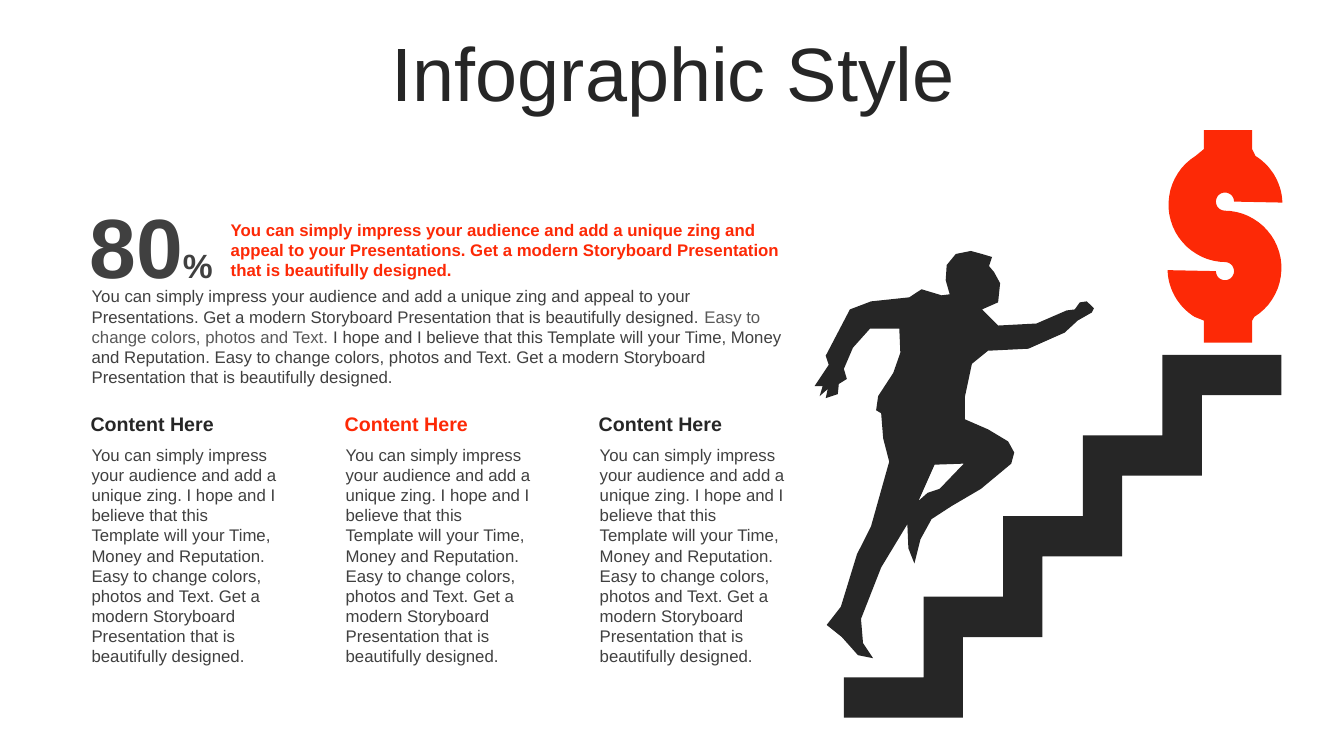
import math

import pptx
import pptx.dml.color
import pptx.enum.text
import pptx.util

ANCHOR = pptx.enum.text.MSO_ANCHOR
ALIGN = pptx.enum.text.PP_ALIGN
DARK, GREY, LIGHT, RED = "262626", "404040", "595959", "FD2906"

deck = pptx.Presentation()
deck.slide_width = pptx.util.Inches(13.33)
deck.slide_height = pptx.util.Inches(7.5)
page = deck.slides.add_slide(deck.slide_layouts[6])


def colour(code):
    return pptx.dml.color.RGBColor.from_string(code)


def write(text, *, at, size=12, ink=GREY, bold=False, align=ALIGN.LEFT,
          anchor=ANCHOR.TOP, spacing=None):
    """Add a text box; text is a string or a list of (string, size, ink) spans."""
    box = page.shapes.add_textbox(*[pptx.util.Inches(length) for length in at])
    frame = box.text_frame
    frame.word_wrap = True
    frame.vertical_anchor = anchor
    para = frame.paragraphs[0]
    para.alignment = align
    para.line_spacing = spacing
    spans = [(text, size, ink)] if isinstance(text, str) else text
    for words, points, code in spans:
        span = para.add_run()
        span.text = words
        span.font.name = "Arial"
        span.font.size = pptx.util.Pt(points)
        span.font.bold = bold
        span.font.color.rgb = colour(code)


# Drawings use hundredths of an inch.
STEPS, TREAD, RISER, THICKNESS = 5, 79, 80, 40
stairs_left, stairs_right, stairs_bottom = 837, 955, 712
tops = [stairs_bottom - THICKNESS - RISER * step for step in range(STEPS)]
upper_edge, lower_edge = [], []
for step, top in enumerate(tops):
    left = stairs_left + TREAD * step
    right = stairs_right + TREAD * step
    upper_edge += [(left, min(top + RISER, stairs_bottom)), (left, top)]
    lower_edge += [(right, top + THICKNESS), (right, max(top - THICKNESS, tops[-1]))]
stairs = upper_edge + lower_edge[::-1]

# Right half of the dollar: upper bowl, notch, lower bowl; the left half is it turned round.
half = []
for centre_x, centre_y, radius, start, end in [
        (1215, 203, 57, -58, -2), (1215, 200, 9, 0, -270), (1214, 266, 57, -90, 58)]:
    for tick in range(25):
        angle = math.radians(start + (end - start) * tick / 24)
        half.append((centre_x + radius * math.cos(angle),
                     centre_y + radius * math.sin(angle)))
turned = [(2430 - x, 469 - y) for x, y in half]
stem_left, stem_right, stem_top, stem_bottom = 1194, 1242, 129, 340
dollar = [(stem_left, 148), (stem_left, stem_top), (stem_right, stem_top),
          (stem_right, 148), *half, (stem_right, 318), (stem_right, stem_bottom),
          (stem_left, stem_bottom), (stem_left, 318), *turned]

leading_arm = [(1085, 306), (1078, 299), (1071, 300), (1066, 307), (1058, 308),
               (1028, 321), (990, 323), (974, 307)]
head = [(990, 300), (992, 281), (986, 270), (981, 264), (984, 255), (974, 252),
        (963, 249), (948, 252), (939, 263), (938, 278), (942, 292)]
trailing_arm = [(934, 293), (914, 287), (902, 295), (864, 299), (843, 307),
                (819, 353), (822, 362), (808, 383), (816, 383), (813, 393),
                (821, 386), (819, 395), (831, 391), (832, 381), (840, 376),
                (837, 366), (846, 345), (863, 326), (892, 326)]
trailing_leg = [(893, 350), (886, 370), (871, 393), (869, 407), (874, 410),
                (876, 435), (882, 458), (864, 522), (850, 550), (834, 602),
                (820, 620), (835, 632), (851, 650), (866, 653), (856, 638),
                (854, 614), (874, 563), (900, 520)]
leading_leg = [(901, 544), (907, 559), (913, 535), (924, 515), (944, 502),
               (973, 485), (1003, 460), (1006, 449), (1000, 438), (980, 426),
               (957, 416), (957, 394), (964, 361)]
chest = [(980, 348), (1020, 346), (1056, 330), (1069, 318), (1083, 310)]
runner = leading_arm + head + trailing_arm + trailing_leg + leading_leg + chest
leg_gap = [(956, 460), (932, 485), (920, 489), (911, 497), (927, 461)]

for outlines, fill in [([stairs], DARK), ([dollar], RED), ([runner, leg_gap], DARK)]:
    # Thousandths of an inch keep the curves smooth.
    fine = [[(x * 10, y * 10) for x, y in outline] for outline in outlines]
    builder = page.shapes.build_freeform(*fine[0][0], scale=914.4)
    builder.add_line_segments(fine[0][1:], close=True)
    for hole in fine[1:]:
        builder.move_to(*hole[0])
        builder.add_line_segments(hole[1:], close=True)
    drawing = builder.convert_to_shape()
    drawing.shadow.inherit = False
    drawing.fill.solid()
    drawing.fill.fore_color.rgb = colour(fill)
    drawing.line.fill.background()

pitch = "You can simply impress your audience and add a unique zing"
design = "Get a modern Storyboard Presentation that is beautifully designed."
appeal = f"{pitch} and appeal to your Presentations. {design}"
change = "Easy to change colors, photos and Text."
hope = "I hope and I believe that this Template will your Time, Money and Reputation."

write("Infographic Style", at=(0.35, 0.37, 12.66, 0.79), size=54, ink=DARK,
      align=ALIGN.CENTER, anchor=ANCHOR.MIDDLE, spacing=0.9)
write([("80", 60, GREY), ("%", 24, GREY)], at=(0.78, 1.87, 1.44, 1.11), bold=True,
      align=ALIGN.CENTER, anchor=ANCHOR.MIDDLE)
write(appeal, at=(2.19, 2.13, 5.73, 0.71), ink=RED, bold=True)
write([(f"{appeal} ", 12, GREY), (f"{change} ", 12, LIGHT),
       (f"{hope} {change} {design}", 12, GREY)], at=(0.81, 2.79, 7.11, 1.11))

COLUMN_LEFT, COLUMN_PITCH, COLUMN_WIDTH = 0.8, 2.52, 2.04
for column, heading_ink in enumerate([DARK, RED, DARK]):
    left = COLUMN_LEFT + COLUMN_PITCH * column
    write("Content Here", at=(left, 4.03, COLUMN_WIDTH, 0.34), size=14,
          ink=heading_ink, bold=True, anchor=ANCHOR.MIDDLE)
    write(f"{pitch}. {hope} {change} {design}",
          at=(left + 0.01, 4.36, COLUMN_WIDTH, 2.32))

deck.save("out.pptx")
